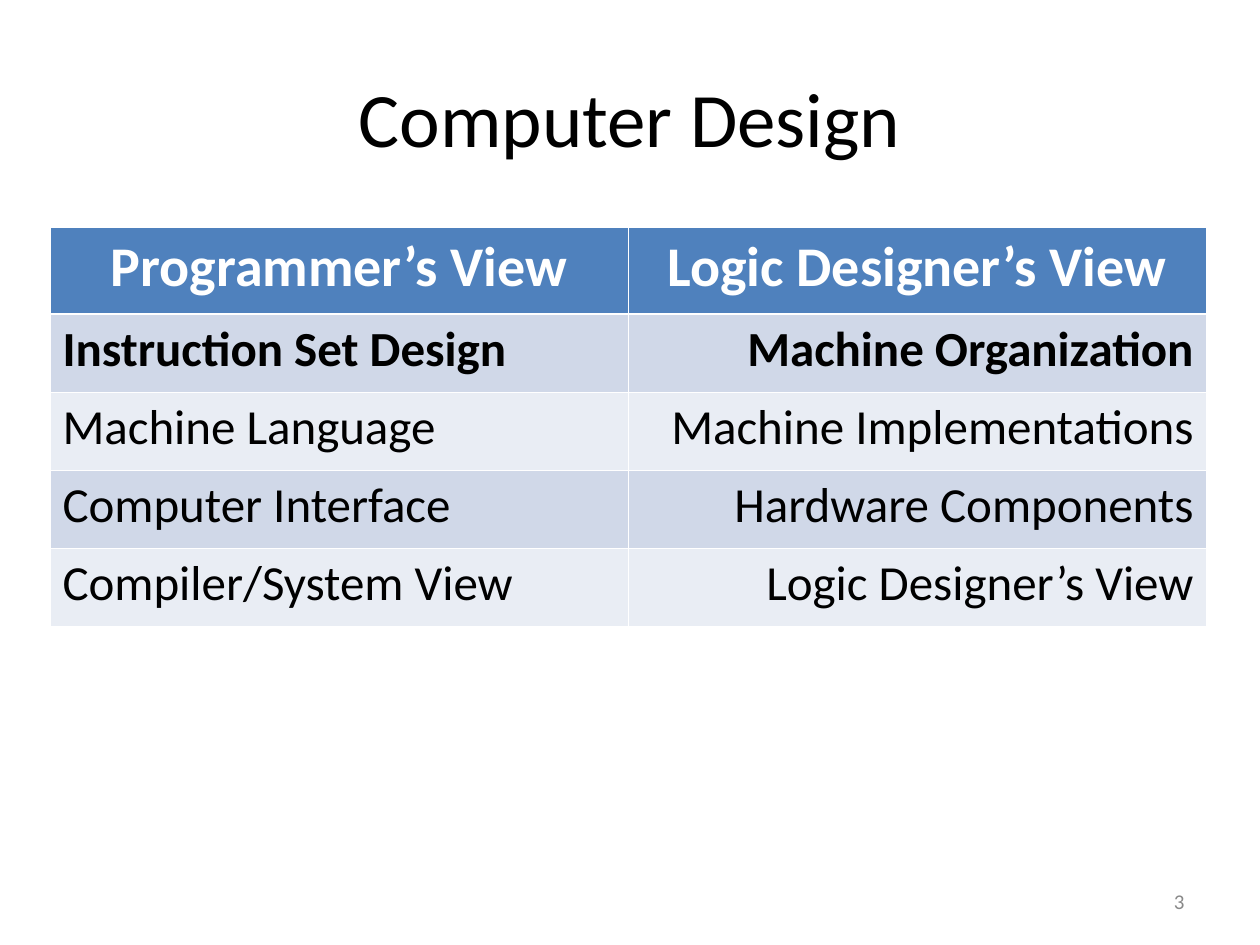
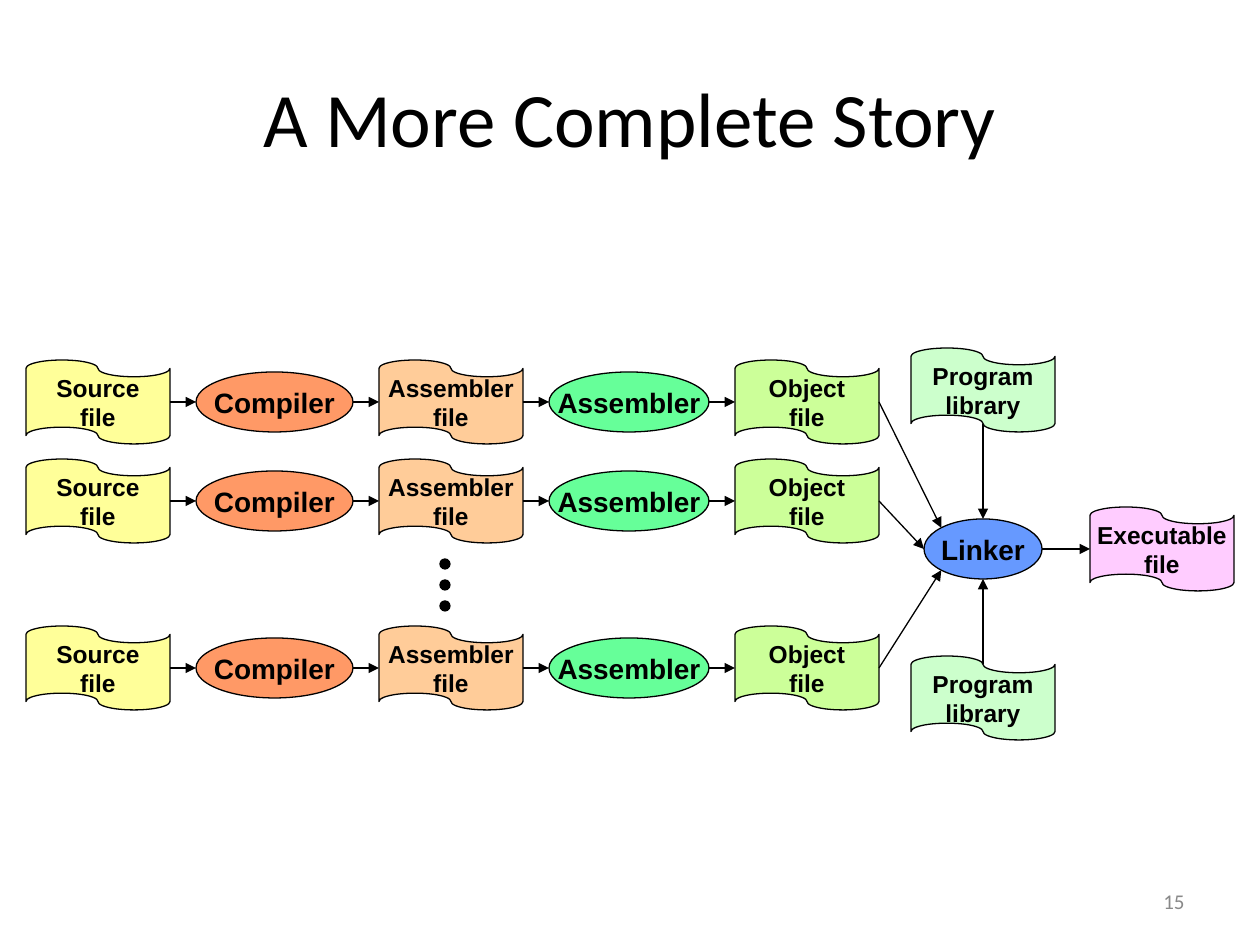
from math import sqrt

from lxml import etree
from pptx import Presentation
from pptx import util as u
from pptx.dml.color import RGBColor
from pptx.enum import shapes, text
from pptx.oxml.ns import qn

SCALE = 914400 / 126  # EMU in one px

BLACK = RGBColor(0x00, 0x00, 0x00)
WHITE = RGBColor(0xFF, 0xFF, 0xFF)
GREY = RGBColor(0x89, 0x89, 0x89)
HEADER_BLUE = RGBColor(0x4F, 0x81, 0xBD)
BANDS = [RGBColor(0xD0, 0xD8, 0xE8), RGBColor(0xE9, 0xED, 0xF4)]
YELLOW = RGBColor(0xFF, 0xFF, 0x99)
ORANGE = RGBColor(0xFF, 0x99, 0x66)
PEACH = RGBColor(0xFF, 0xCC, 0x99)
GREEN = RGBColor(0x66, 0xFF, 0x99)
LIME = RGBColor(0xCC, 0xFF, 0x99)
MINT = RGBColor(0xCC, 0xFF, 0xCC)
BLUE = RGBColor(0x66, 0x99, 0xFF)
PINK = RGBColor(0xFF, 0xCC, 0xFF)

TAPE = shapes.MSO_SHAPE.FLOWCHART_PUNCHED_TAPE
OVAL = shapes.MSO_SHAPE.OVAL
LEFT, CENTER, RIGHT = (text.PP_ALIGN.LEFT, text.PP_ALIGN.CENTER,
                       text.PP_ALIGN.RIGHT)

TITLE_FONT = {"name": "Calibri", "size": u.Pt(44)}
NUMBER_FONT = {"name": "Calibri", "size": u.Pt(12)}
HEADER_FONT = {"name": "Calibri", "size": u.Pt(32), "bold": True}
CELL_FONT = {"name": "Calibri", "size": u.Pt(28)}
TAPE_FONT = {"name": "Arial", "size": u.Pt(14), "bold": True}
OVAL_FONT = {"name": "Arial", "size": u.Pt(16), "bold": True}

# Slide 1: table of views
VIEWS = [
    ("Programmer’s View", "Logic Designer’s View"),
    ("Instruction Set Design", "Machine Organization"),
    ("Machine Language", "Machine Implementations"),
    ("Computer Interface", "Hardware Components"),
    ("Compiler/System View", "Logic Designer’s View"),
]
TABLE_AT = (50, 227)
COL_W, HEADER_H, ROW_H = 578, 87, 78

# Slide 2: one chain of steps, repeated on three rows, feeding the linker
CHAIN = [  # preset, label, width, colour
    (TAPE, "Source\nfile", 144, YELLOW),
    (OVAL, "Compiler", 157, ORANGE),
    (TAPE, "Assembler\nfile", 144, PEACH),
    (OVAL, "Assembler", 160, GREEN),
    (TAPE, "Object\nfile", 144, LIME),
]
CHAIN_X, CHAIN_GAP = 26, 26
CHAIN_ROWS = (402, 501, 668)  # centre lines
TAPE_W, TAPE_H, OVAL_H = 144, 84, 60
LINKER_X, LINKER_Y, LINKER_W = 924, 549, 118
LIBRARY_ROWS = (390, 698)
EXECUTABLE_X = 1090
DOT_X, DOT_Y, DOT_SIZE, DOT_STEP = 440, 559, 10, 21


def px(*lengths):
    return [u.Emu(round(n * SCALE)) for n in lengths]


def write(tf, label, font, color, align):
    """Put one paragraph per line of label into the text frame."""
    for i, line in enumerate(label.split("\n")):
        p = tf.paragraphs[0] if i == 0 else tf.add_paragraph()
        p.alignment = align
        r = p.add_run()
        r.text = line
        for key, value in font.items():
            setattr(r.font, key, value)
        r.font.color.rgb = color


def add_text(slide, box, label, font, color, align):
    tf = slide.shapes.add_textbox(*px(*box)).text_frame
    tf.word_wrap = True
    tf.vertical_anchor = text.MSO_ANCHOR.MIDDLE
    write(tf, label, font, color, align)


def add_slide(prs, title, number):
    slide = prs.slides.add_slide(prs.slide_layouts[6])
    add_text(slide, (63, 38, 1134, 158), title, TITLE_FONT, BLACK, CENTER)
    add_text(slide, (903, 876, 294, 50), number, NUMBER_FONT, GREY, RIGHT)
    return slide


def set_borders(cell, widths):
    """Draw white cell borders; widths are points by side L, R, T, B."""
    tc_pr = cell._tc.get_or_add_tcPr()
    for i, (side, width) in enumerate(widths.items()):
        ln = etree.Element(qn("a:ln" + side), w=str(u.Pt(width)))
        fill = etree.SubElement(ln, qn("a:solidFill"))
        etree.SubElement(fill, qn("a:srgbClr"), val=str(WHITE))
        tc_pr.insert(i, ln)


def add_views_table(slide):
    size = (2 * COL_W, HEADER_H + ROW_H * (len(VIEWS) - 1))
    table = slide.shapes.add_table(len(VIEWS), 2, *px(*TABLE_AT, *size)).table
    table.horz_banding = table.first_row = False
    for i, row in enumerate(VIEWS):
        table.rows[i].height = px(ROW_H if i else HEADER_H)[0]
        for j, label in enumerate(row):
            cell = table.cell(i, j)
            cell.fill.solid()
            if i == 0:
                cell.fill.fore_color.rgb = HEADER_BLUE
                write(cell.text_frame, label, HEADER_FONT, WHITE, CENTER)
            else:
                cell.fill.fore_color.rgb = BANDS[(i - 1) % 2]
                font = {**CELL_FONT, "bold": i == 1}
                write(cell.text_frame, label, font, BLACK, (LEFT, RIGHT)[j])
            set_borders(cell, {"L": 0.45, "R": 0.45,
                               "T": 1.47 if i == 1 else 0.45,
                               "B": 1.47 if i == 0 else 0.45})


def add_node(slide, preset, x, cy, w, h, color, label=""):
    """Add an outlined shape centred on the line cy."""
    sp = slide.shapes.add_shape(preset, *px(x, cy - h / 2, w, h))
    sp.shadow.inherit = False
    sp.fill.solid()
    sp.fill.fore_color.rgb = color
    sp.line.color.rgb = BLACK
    sp.line.width = u.Pt(0.75)
    if preset == TAPE:
        sp._element.spPr.find(qn("a:xfrm")).set("flipH", "1")
    if label:
        tf = sp.text_frame
        tf.word_wrap = False
        tf.vertical_anchor = text.MSO_ANCHOR.MIDDLE
        write(tf, label, TAPE_FONT if preset == TAPE else OVAL_FONT,
              BLACK, CENTER)


def add_tape(slide, x, cy, color, label):
    add_node(slide, TAPE, x, cy, TAPE_W, TAPE_H, color, label)


def add_arrow(slide, start, end):
    cxn = slide.shapes.add_connector(shapes.MSO_CONNECTOR.STRAIGHT,
                                     *px(*start, *end))
    cxn.line.color.rgb = BLACK
    cxn.line.width = u.Pt(0.75)
    etree.SubElement(cxn.line._get_or_add_ln(), qn("a:tailEnd"),
                     type="triangle")
    etree.SubElement(cxn._element.spPr, qn("a:effectLst"))


def add_chain(slide, cy):
    """Draw one row of steps and return its right end."""
    x = CHAIN_X
    for i, (preset, label, w, color) in enumerate(CHAIN):
        if i:
            add_arrow(slide, (x, cy), (x + CHAIN_GAP, cy))
            x += CHAIN_GAP
        h = TAPE_H if preset == TAPE else OVAL_H
        add_node(slide, preset, x, cy, w, h, color, label)
        x += w
    return x, cy


def add_build_diagram(slide):
    chain_ends = [add_chain(slide, cy) for cy in CHAIN_ROWS]
    for i in range(3):
        cy = DOT_Y + DOT_SIZE / 2 + i * DOT_STEP
        add_node(slide, OVAL, DOT_X, cy, DOT_SIZE, DOT_SIZE, BLACK)

    add_node(slide, OVAL, LINKER_X, LINKER_Y, LINKER_W, OVAL_H, BLUE, "Linker")
    linker_cx = LINKER_X + LINKER_W / 2
    dx, dy = LINKER_W / 2 / sqrt(2), OVAL_H / 2 / sqrt(2)
    entries = [(linker_cx - dx, LINKER_Y - dy), (LINKER_X, LINKER_Y),
               (linker_cx - dx, LINKER_Y + dy)]
    for start, end in zip(chain_ends, entries):
        add_arrow(slide, start, end)

    for cy in LIBRARY_ROWS:
        add_tape(slide, linker_cx - TAPE_W / 2, cy, MINT, "Program\nlibrary")
        toward = 1 if cy < LINKER_Y else -1
        # the wavy edge crosses the centre a tenth of the height inside
        add_arrow(slide, (linker_cx, cy + toward * 0.4 * TAPE_H),
                  (linker_cx, LINKER_Y - toward * OVAL_H / 2))

    add_tape(slide, EXECUTABLE_X, LINKER_Y, PINK, "Executable\nfile")
    add_arrow(slide, (LINKER_X + LINKER_W, LINKER_Y), (EXECUTABLE_X, LINKER_Y))


def main():
    prs = Presentation()
    prs.slide_width, prs.slide_height = px(1260, 945)
    add_views_table(add_slide(prs, "Computer Design", "3"))
    add_build_diagram(add_slide(prs, "A More Complete Story", "15"))
    prs.save("out.pptx")


if __name__ == "__main__":
    main()
